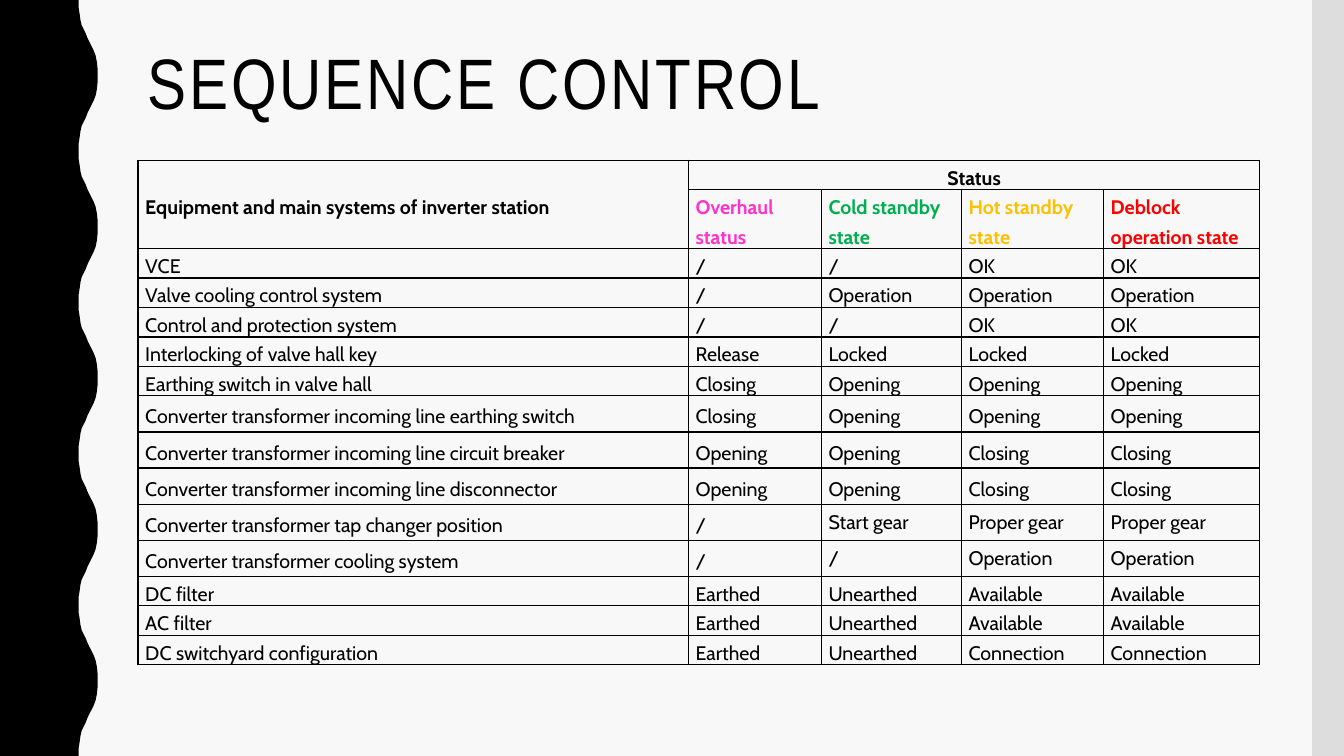
from lxml import etree
from pptx import Presentation
from pptx import util as u
from pptx.dml.color import RGBColor
from pptx.enum import shapes, text
from pptx.oxml import ns

BLACK = RGBColor(0x00, 0x00, 0x00)
PAPER = RGBColor(0xF8, 0xF8, 0xF8)
GREY = RGBColor(0xDD, 0xDD, 0xDD)
PINK = RGBColor(0xFF, 0x33, 0xCC)
GREEN = RGBColor(0x00, 0xB0, 0x50)
AMBER = RGBColor(0xFF, 0xC0, 0x00)
RED = RGBColor(0xFF, 0x00, 0x00)


def apply(target, values):
    for name, value in values.items():
        setattr(target, name, value)


def paint(shape, color):
    shape.shadow.inherit = False
    shape.fill.solid()
    shape.fill.fore_color.rgb = color
    shape.line.fill.background()


deck = Presentation()
apply(deck, {"slide_width": u.Cm(33.87), "slide_height": u.Cm(19.05)})
slide = deck.slides.add_slide(deck.slide_layouts[6])
slide.background.fill.solid()
slide.background.fill.fore_color.rgb = PAPER

# Wavy left edge: half a wave, mirrored and repeated five times
WAVE = 3.81
half_wave = [(1.98, 0), (1.98, 0.18), (2.01, 0.36), (2.03, 0.51), (2.06, 0.64),
             (2.11, 0.74), (2.16, 0.84), (2.21, 0.97), (2.26, 1.07), (2.31, 1.17),
             (2.36, 1.27), (2.41, 1.4), (2.44, 1.55), (2.46, 1.73), (2.46, 1.9)]
full_wave = half_wave + [(x, WAVE - y) for x, y in reversed(half_wave[:-1])]
edge = [(u.Cm(x), u.Cm(y + WAVE * n)) for n in range(5) for x, y in full_wave]
outline = slide.shapes.build_freeform(0, 0)
outline.add_line_segments(edge + [(0, u.Cm(19.05))], close=True)
paint(outline.convert_to_shape(), BLACK)

# Right bar
right_bar = slide.shapes.add_shape(
    shapes.MSO_SHAPE.RECTANGLE, u.Cm(33.07), 0, u.Cm(0.8), u.Cm(19.05))
paint(right_bar, GREY)

# Heading
heading = slide.shapes.add_textbox(u.Cm(3.48), u.Cm(1.07), u.Cm(28.27), u.Cm(4.14))
heading.text_frame.word_wrap = True
heading_line = heading.text_frame.paragraphs[0]
heading_line.line_spacing = 0.9
heading_run = heading_line.add_run()
heading_run.text = "SEQUENCE CONTROL"
apply(heading_run.font, {"name": "Arial Narrow", "size": u.Pt(51)})
heading_run.font.color.rgb = BLACK
heading_run.font._element.set("spc", "200")

# Status table
status_rows = [
    ["Equipment and main systems of inverter station", "Status", "", "", ""],
    ["", "Overhaul status", "Cold standby state", "Hot standby state",
     "Deblock operation state"],
    ["VCE", "/", "/", "OK", "OK"],
    ["Valve cooling control system", "/", "Operation", "Operation", "Operation"],
    ["Control and protection system", "/", "/", "OK", "OK"],
    ["Interlocking of valve hall key", "Release", "Locked", "Locked", "Locked"],
    ["Earthing switch in valve hall", "Closing", "Opening", "Opening", "Opening"],
    ["Converter transformer incoming line earthing switch",
     "Closing", "Opening", "Opening", "Opening"],
    ["Converter transformer incoming line circuit breaker",
     "Opening", "Opening", "Closing", "Closing"],
    ["Converter transformer incoming line disconnector",
     "Opening", "Opening", "Closing", "Closing"],
    ["Converter transformer tap changer position",
     "/", "Start gear", "Proper gear", "Proper gear"],
    ["Converter transformer cooling system", "/", "/", "Operation", "Operation"],
    ["DC filter", "Earthed", "Unearthed", "Available", "Available"],
    ["AC filter", "Earthed", "Unearthed", "Available", "Available"],
    ["DC switchyard configuration", "Earthed", "Unearthed", "Connection", "Connection"],
]
HEADER_ROWS = 2
TOP_ANCHORED_FROM = 10
state_colors = [BLACK, PINK, GREEN, AMBER, RED]
column_widths = [13.87, 3.35, 3.53, 3.58, 3.94]
row_heights = [0.46, 1.37] + [0.46] * 5 + [0.91] * 5 + [0.46] * 3

status_frame = slide.shapes.add_table(
    len(status_rows), len(column_widths),
    u.Cm(3.48), u.Cm(4.04), u.Cm(28.27), u.Cm(12.62))
status = status_frame.table
apply(status, {"first_row": False, "horz_banding": False})
for column, width in zip(status.columns, column_widths):
    column.width = u.Cm(width)
for row, height in zip(status.rows, row_heights):
    row.height = u.Cm(height)
status_frame.height = u.Cm(12.62)
status.cell(0, 0).merge(status.cell(1, 0))
status.cell(0, 1).merge(status.cell(0, 4))

cell_format = {"margin_left": u.Cm(0.18), "margin_right": u.Cm(0.18),
               "margin_top": 0, "margin_bottom": 0}
for r, words in enumerate(status_rows):
    for c, word in enumerate(words):
        cell = status.cell(r, c)
        apply(cell, cell_format)
        top_anchored = r >= TOP_ANCHORED_FROM and c >= 2
        cell.vertical_anchor = (text.MSO_ANCHOR.TOP if top_anchored
                                else text.MSO_ANCHOR.MIDDLE)

        # Black border on all four sides
        properties = cell._tc.get_or_add_tcPr()
        for side in ("lnL", "lnR", "lnT", "lnB"):
            border = etree.SubElement(properties, ns.qn("a:" + side), w="12700")
            solid = etree.SubElement(border, ns.qn("a:solidFill"))
            etree.SubElement(solid, ns.qn("a:srgbClr"), val=str(BLACK))
        cell.fill.background()

        entry = cell.text_frame.paragraphs[0]
        entry.line_spacing = 1.25
        if (r, c) == (0, 1):
            entry.alignment = text.PP_ALIGN.CENTER
        entry.space_before = u.Pt(0 if cell.is_spanned else 3)
        if word:
            entry_run = entry.add_run()
            entry_run.text = word
            apply(entry_run.font, {"name": "Cabin", "size": u.Pt(14),
                                   "bold": r < HEADER_ROWS})
            entry_run.font.color.rgb = state_colors[c] if r == 1 else BLACK

deck.save("out.pptx")
